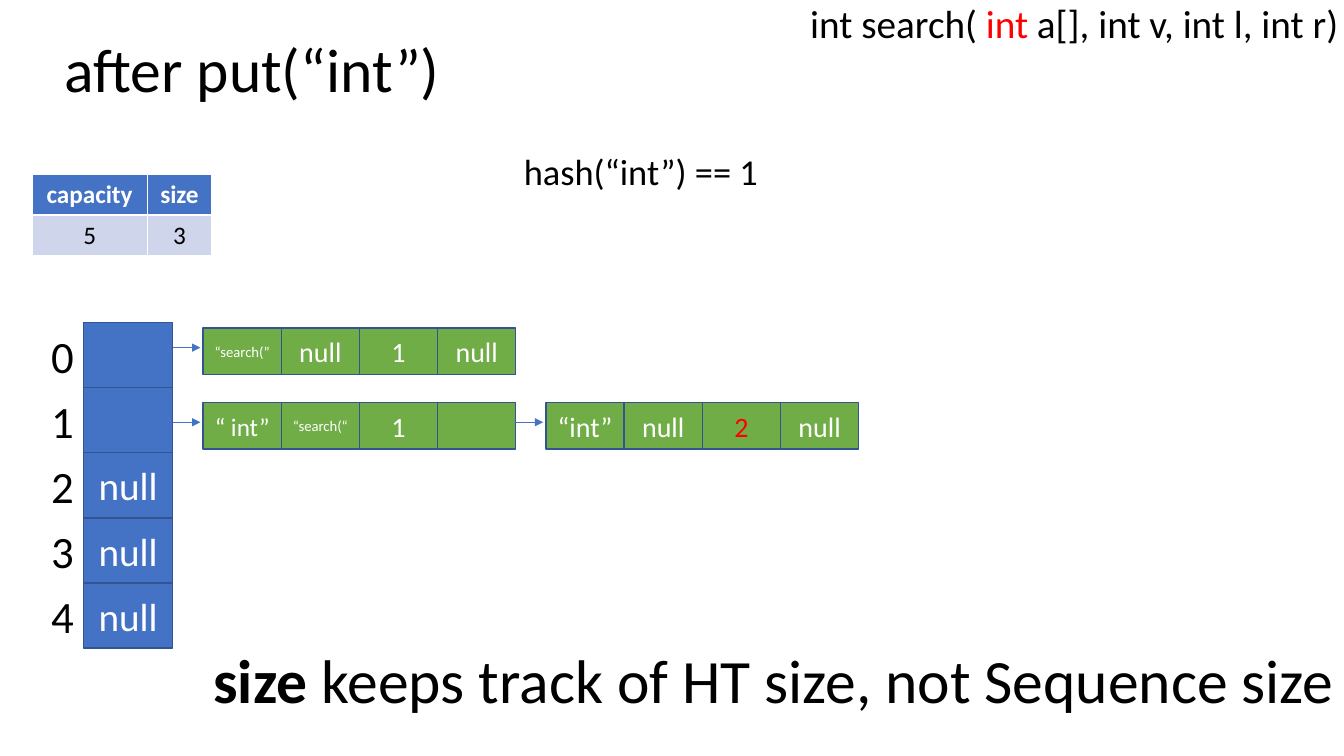
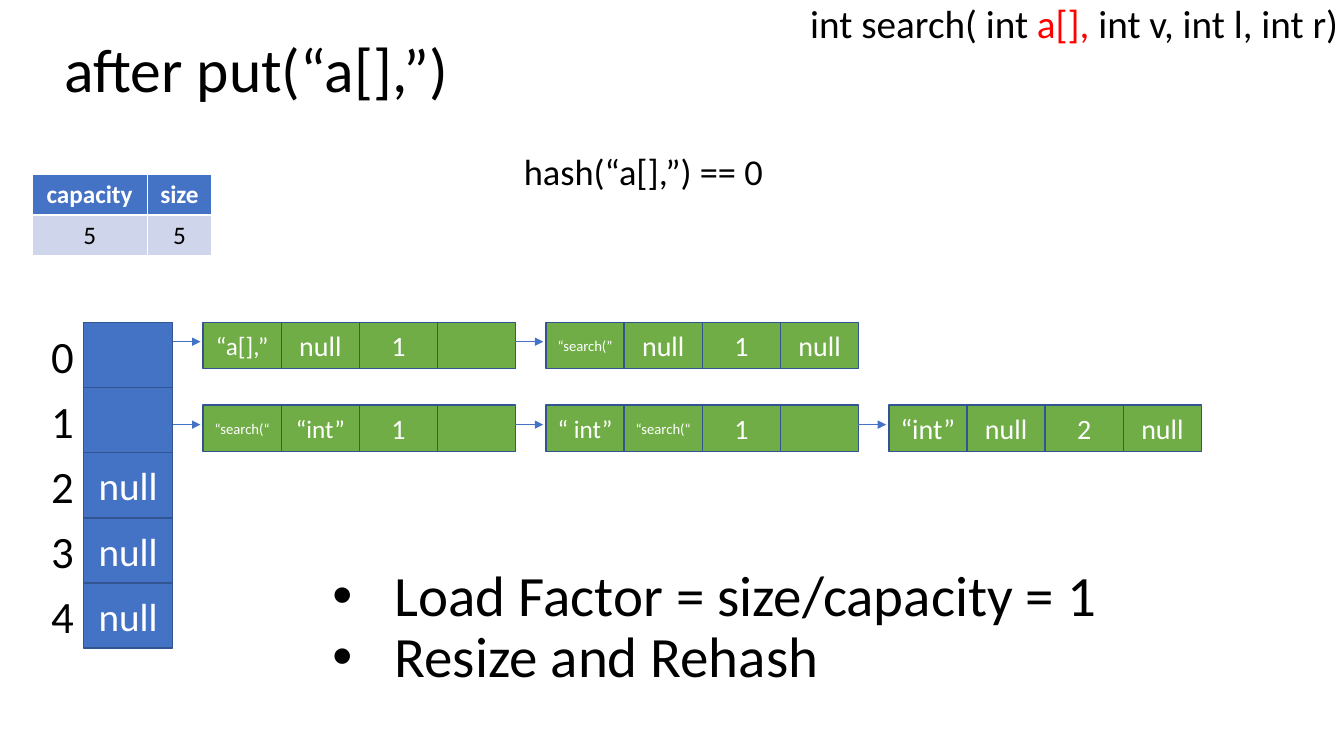
import pptx
import pptx.dml.color
import pptx.enum.shapes
import pptx.enum.text
import pptx.oxml
import pptx.oxml.ns
import pptx.util

Cm, Pt = pptx.util.Cm, pptx.util.Pt
ANCHOR, ALIGN = pptx.enum.text.MSO_ANCHOR, pptx.enum.text.PP_ALIGN
FONT = "Calibri"
BLACK, WHITE, RED = "000000", "FFFFFF", "FF0000"
BLUE, PALE, GREEN, OUTLINE = "4472C4", "CFD5EA", "70AD47", "325491"

# Boxes are left, top, width, height in centimetres.
TITLE = (1.37, 0, 29.21, 3.68)
SIGNATURE = (20.17, 0, 13.7, 1.35)
HASH = (12.95, 3.76, 9.14, 1.24)
COUNTS = (0.81, 4.39, 4.53, 2.06)
BUCKETS = (2.11, 8.13, 2.24, 8.2)
NODE_LEFT, NODE_PITCH = 5.12, 8.64
CELL_W, CELL_H = 1.97, 1.17
ARROW_GAP = 0.77

# Cells of the list nodes: text, size and, where it differs, colour.
SEARCH, PREV_SEARCH = ("“search(”", 10.5), ("“search(“", 10.5)
SPACE_INT, INT, PREV_INT = ("“ int”", 18), ("“int”", 20), ("“int”", 18)
ARRAY = ("“a[],”", 18)
NULL, ONE, TWO, RED_TWO = ("null", 20), ("1", 20), ("2", 20), ("2", 20, RED)
LINK = ("", 20)


def rgb(value):
    return pptx.dml.color.RGBColor.from_string(value)


def style(r, size, colour=BLACK, bold=False):
    r.font.name, r.font.size, r.font.bold = FONT, Pt(size), bold
    r.font.color.rgb = rgb(colour)


def add_text(s, box, paragraphs, size, anchor=ANCHOR.TOP, spacing=0.9, bullets=False):
    """Each paragraph is a list of runs: text, colour, bold."""
    tf = s.shapes.add_textbox(*map(Cm, box)).text_frame
    tf.word_wrap, tf.vertical_anchor, tf.margin_right = True, anchor, 0
    for i, runs in enumerate(paragraphs):
        p = tf.add_paragraph() if i else tf.paragraphs[0]
        p.line_spacing = spacing
        for text, *look in runs:
            r = p.add_run()
            r.text = text
            style(r, size, *look)
        if bullets:
            add_bullet(p)


def add_bullet(p):
    pPr = p._p.get_or_add_pPr()
    pPr.set("marL", str(Cm(1.57)))
    pPr.set("indent", str(-Cm(1.57)))
    for tag, name, value in (("buFont", "typeface", "Arial"), ("buChar", "char", "•")):
        pptx.oxml.ns.qn("a:" + tag)
        pPr.append(pptx.oxml.parse_xml(
            f'<a:{tag} {pptx.oxml.ns.nsdecls("a")} {name}="{value}"/>'))


def add_cell(s, box, fill, text, size, colour=WHITE):
    sp = s.shapes.add_shape(pptx.enum.shapes.MSO_SHAPE.RECTANGLE, *map(Cm, box))
    sp.shadow.inherit = False
    sp.fill.solid()
    sp.fill.fore_color.rgb = rgb(fill)
    sp.line.color.rgb, sp.line.width = rgb(OUTLINE), Pt(1)
    if text:
        p = sp.text_frame.paragraphs[0]
        p.text, p.alignment = text, ALIGN.CENTER
        style(p.runs[0], size, colour)


def add_arrow(s, x1, x2, y):
    line = s.shapes.add_connector(pptx.enum.shapes.MSO_CONNECTOR.STRAIGHT,
                                  Cm(x1), Cm(y), Cm(x2), Cm(y))
    line.line.color.rgb, line.line.width = rgb(BLUE), Pt(0.5)
    ns = pptx.oxml.ns.nsdecls("a")
    line.line._get_or_add_ln().append(
        pptx.oxml.parse_xml(f'<a:tailEnd {ns} type="triangle"/>'))
    line._element.spPr.append(pptx.oxml.parse_xml(f"<a:effectLst {ns}/>"))


def add_counts(s, box, size):
    """Table of the capacity and size of the hash table."""
    table = s.shapes.add_table(2, 2, *map(Cm, box)).table
    for column, share in zip(table.columns, (0.64, 0.36)):
        column.width = Cm(box[2] * share)
    rows = ((("capacity", "size"), BLUE, WHITE, True),
            (("5", size), PALE, BLACK, False))
    for i, (texts, fill, colour, bold) in enumerate(rows):
        for j, text in enumerate(texts):
            cell = table.cell(i, j)
            cell.fill.solid()
            cell.fill.fore_color.rgb = rgb(fill)
            p = cell.text_frame.paragraphs[0]
            p.text, p.alignment = text, ALIGN.CENTER
            style(p.runs[0], 18, colour, bold)


def add_buckets(s, box, texts):
    x, y, w, h = box
    step = h / len(texts)
    for i, text in enumerate(texts):
        top = y + i * step
        add_cell(s, (x, top, w, step), BLUE, text, 28)
        add_text(s, (x - 1.07, top + 0.02, 1.09, 1.63), [[(str(i),)]], 32, spacing=1)


def add_chain(s, top, nodes):
    """Linked list: each node is an arrow followed by a row of cells."""
    for n, cells in enumerate(nodes):
        x = NODE_LEFT + n * NODE_PITCH
        add_arrow(s, x - ARROW_GAP, x - 0.07, top + 0.49)
        for i, cell in enumerate(cells):
            add_cell(s, (x + i * CELL_W, top, CELL_W, CELL_H), GREEN, *cell)


def add_hash_slide(prs, title, signature, hashed, size, chains):
    s = prs.slides.add_slide(prs.slide_layouts[6])
    add_text(s, TITLE, [[(title,)]], 44, ANCHOR.MIDDLE)
    add_counts(s, COUNTS, size)
    add_buckets(s, BUCKETS, ("", "", "null", "null", "null"))
    add_text(s, HASH, [[(hashed,)]], 26)
    for top, nodes in chains:
        add_chain(s, top, nodes)
    before, current, after = signature
    add_text(s, SIGNATURE, [[(before,), (current, RED), (after,)]], 28)
    return s


def main():
    prs = pptx.Presentation()
    prs.slide_width, prs.slide_height = Cm(33.87), Cm(19.05)

    s = add_hash_slide(
        prs, "after put(“int”)", ("int search( ", "int", " a[], int v, int l, int r)"),
        "hash(“int”) == 1", "3",
        ((8.27, ((SEARCH, NULL, ONE, NULL),)),
         (10.15, ((SPACE_INT, PREV_SEARCH, ONE, LINK), (INT, NULL, RED_TWO, NULL)))))
    add_text(s, (5.13, 15.39, 28.74, 3.68),
             [[("size", BLACK, True), (" keeps track of HT size, not Sequence size",)]],
             44, ANCHOR.MIDDLE)

    s = add_hash_slide(
        prs, "after put(“a[],”)", ("int search( int ", "a[], ", "int v, int l, int r)"),
        "hash(“a[],”) == 0", "5",
        ((8.12, ((ARRAY, NULL, ONE, LINK), (SEARCH, NULL, ONE, NULL))),
         (10.21, ((PREV_SEARCH, PREV_INT, ONE, LINK),
                  (SPACE_INT, PREV_SEARCH, ONE, LINK),
                  (INT, NULL, TWO, NULL)))))
    add_text(s, (8.13, 14, 20.57, 3.68),
             [[("Load Factor = size/capacity = 1",)], [("Resize and Rehash",)]],
             40.7, ANCHOR.MIDDLE, bullets=True)

    prs.save("out.pptx")


if __name__ == "__main__":
    main()
